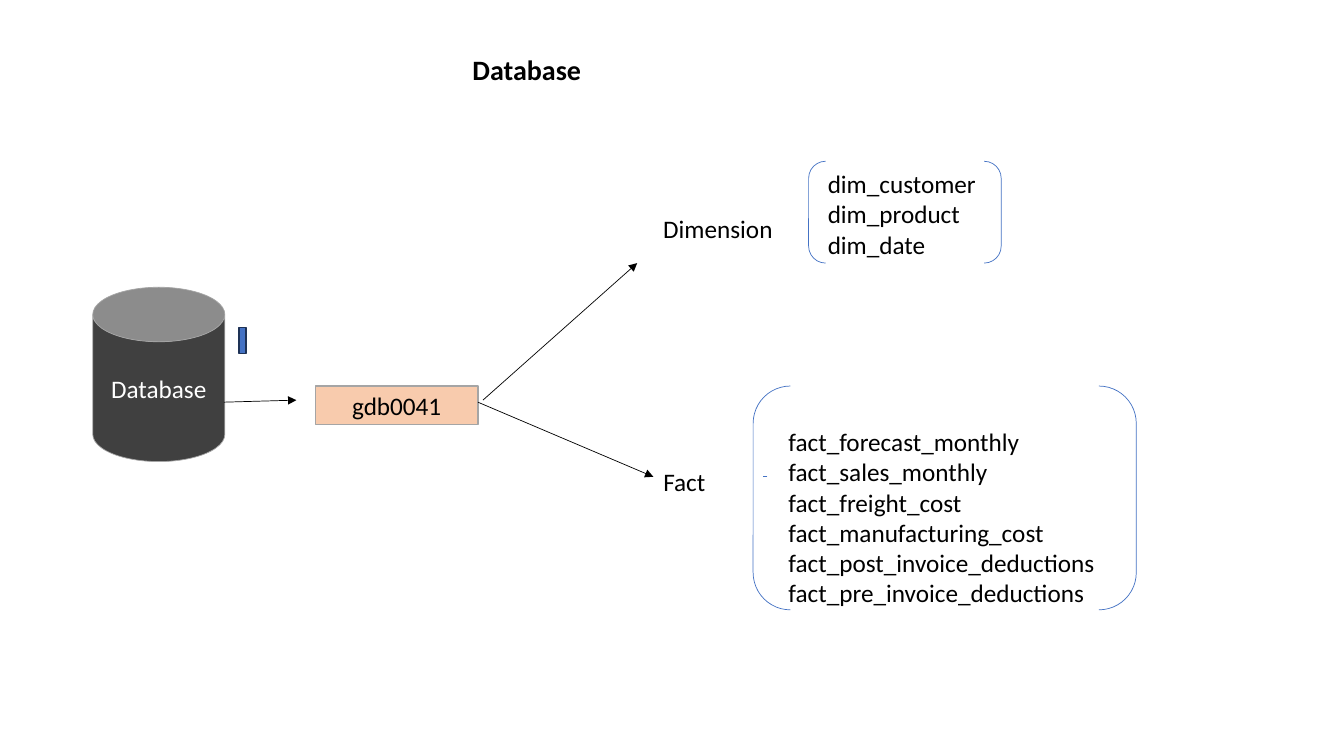
from pptx import Presentation
from pptx.dml.color import RGBColor as Rgb
from pptx.enum.shapes import MSO_CONNECTOR as Link, MSO_SHAPE as Kind
from pptx.enum.text import MSO_ANCHOR as Anchor, MSO_AUTO_SIZE as Fit, PP_ALIGN as Align
from pptx.oxml.ns import qn
from pptx.util import Pt
from lxml.etree import SubElement as sub

PX = 9144  # 100 px to the inch
THEME = {
    "font": "Calibri", "title": 20, "body": 18,
    "black": "000000", "white": "FFFFFF", "dark": "404040", "gray": "A5A5A5",
    "blue": "4472C4", "navy": "1E3256", "peach": "F8CBAD",
}


def color(name):
    return Rgb.from_string(THEME[name])


def write(item, box, lines, ink="black", align=Align.LEFT, anchor=Anchor.TOP, size="body"):
    item.left, item.top, item.width, item.height = [n * PX for n in box]
    frame = item.text_frame
    frame.text = "\n".join(lines)
    frame.word_wrap = True
    frame.auto_size = Fit.NONE
    frame.vertical_anchor = anchor
    for para in frame.paragraphs:
        para.alignment = align
        para.space_before = Pt(0)
        para.font.name = THEME["font"]
        para.font.size = Pt(THEME[size])
        para.font.color.rgb = color(ink)


deck = Presentation()
deck.slide_width, deck.slide_height = 1333 * PX, 750 * PX
slide = deck.slides.add_slide(deck.slide_layouts.get_by_name("Two Content"))
shapes = slide.shapes

# Title
title = shapes.title
write(title, (92, 40, 861, 61), ["Database"], align=Align.CENTER, anchor=Anchor.MIDDLE, size="title")
head = title.text_frame.paragraphs[0]
head.font.bold = True
head.line_spacing = 0.9

# Table lists
dims = ["dim_customer", "dim_product", "dim_date"]
facts = ["fact_forecast_monthly", "fact_sales_monthly", "fact_freight_cost",
         "fact_manufacturing_cost", "fact_post_invoice_deductions",
         "fact_pre_invoice_deductions"]
for spot, box, names in [(1, (811, 162, 255, 101), dims), (2, (772, 418, 409, 222), facts)]:
    area = slide.placeholders[spot]
    write(area, box, names)
    for para in area.text_frame.paragraphs:
        props = para._p.get_or_add_pPr()
        props.set("marL", "0")
        props.set("indent", "0")
        props.insert_element_before(props.makeelement(qn("a:buNone")), "a:tabLst", "a:defRPr")

# Branch labels
for name, box in [("Dimension", (648, 207, 153, 40)), ("Fact", (648, 458, 85, 71))]:
    write(shapes.add_textbox(0, 0, PX, PX), box, [name])

# Cylinder, marker, schema box and brackets
for kind, box, fill, edge, width, label, ink in [
    (Kind.CAN, (92, 285, 131, 173), "dark", "gray", 0.5, "Database", "white"),
    (Kind.RECTANGLE, (237, 325, 7, 26), "blue", "navy", 1, "", "white"),
    (Kind.RECTANGLE, (313, 383, 161, 38), "peach", "gray", 1, "gdb0041", "black"),
    (Kind.DOUBLE_BRACKET, (802, 160, 191, 101), None, "blue", 0.5, "", "black"),
    (Kind.DOUBLE_BRACKET, (747, 383, 380, 222), None, "blue", 0.5, "", "black"),
]:
    item = shapes.add_shape(kind, *[n * PX for n in box])
    item.shadow.inherit = False
    if fill:
        item.fill.solid()
        item.fill.fore_color.rgb = color(fill)
    else:
        item.fill.background()
    item.line.color.rgb = color(edge)
    item.line.width = Pt(width)
    if kind == Kind.CAN:
        item.adjustments[0] = 0.413
    if label:
        write(item, box, [label], ink, Align.CENTER, Anchor.MIDDLE)

# Arrows and the short dash
for ends, ink, arrow in [
    ((222, 399, 294, 397), "black", True),
    ((479, 397, 632, 261), "black", True),
    ((474, 399, 648, 473), "black", True),
    ((761, 473, 757, 473), "blue", False),
]:
    wire = shapes.add_connector(Link.STRAIGHT, *[n * PX for n in ends])
    wire.line.color.rgb = color(ink)
    wire.line.width = Pt(0.5)
    if arrow:
        sub(wire.line._get_or_add_ln(), qn("a:tailEnd"), type="triangle")
    sub(wire._element.spPr, qn("a:effectLst"))

deck.save("out.pptx")
